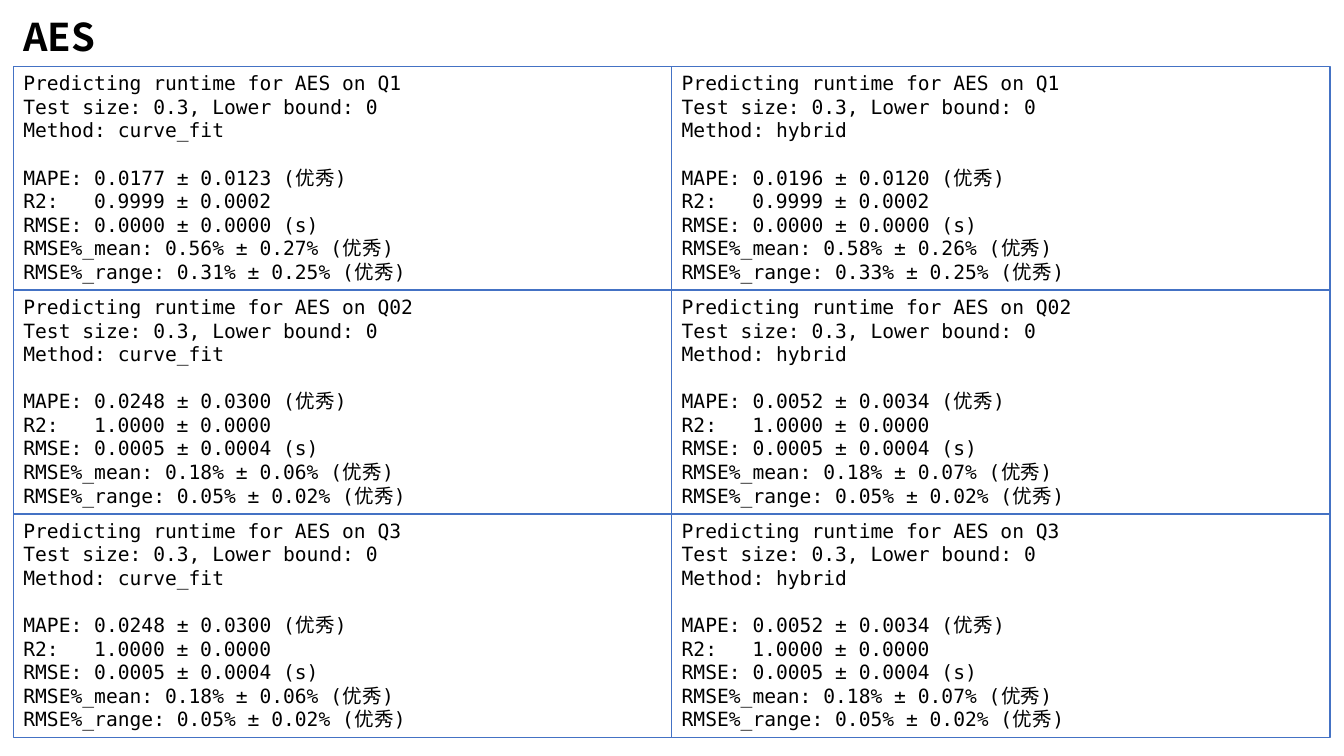
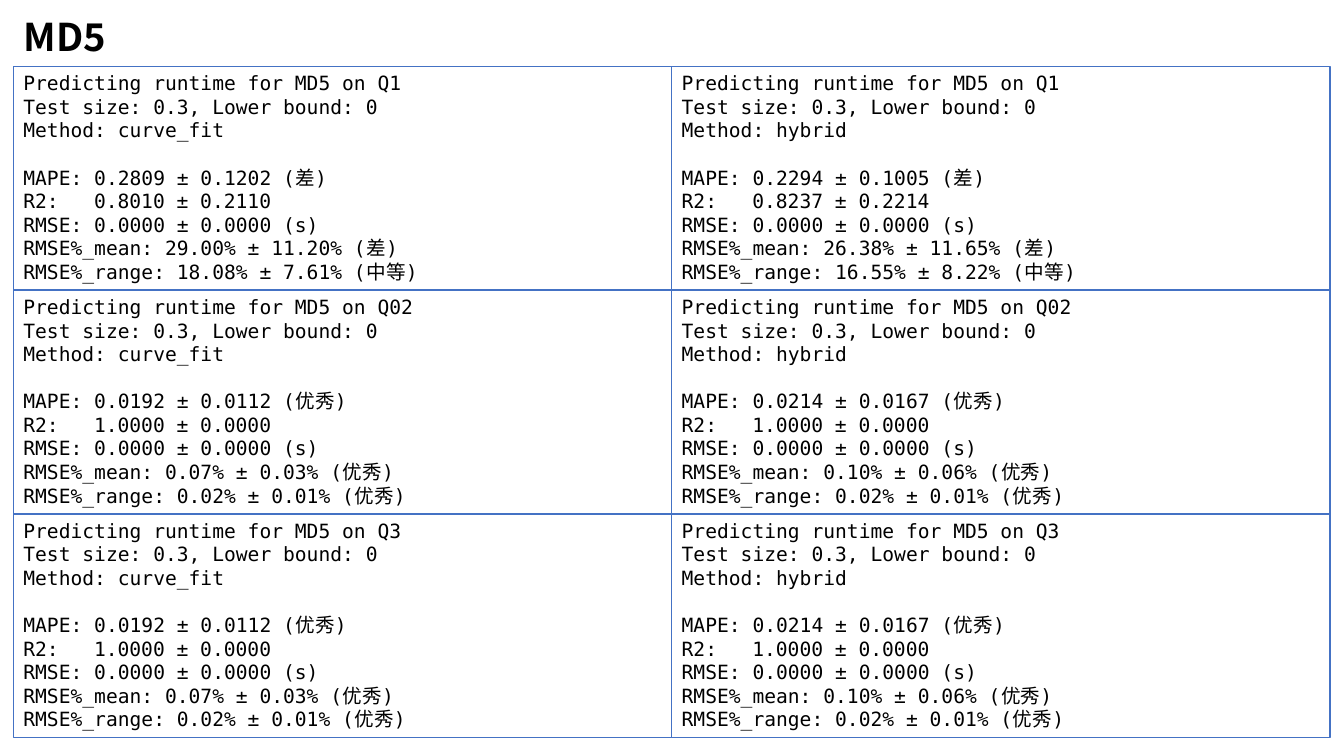
from dataclasses import dataclass

import pptx
import pptx.dml.color
import pptx.enum.shapes
import pptx.enum.text
import pptx.oxml.ns
import pptx.util
from lxml import etree

Cm = pptx.util.Cm
Pt = pptx.util.Pt
RGBColor = pptx.dml.color.RGBColor
PP_ALIGN = pptx.enum.text.PP_ALIGN
MSO_ANCHOR = pptx.enum.text.MSO_ANCHOR
MSO_AUTO_SIZE = pptx.enum.text.MSO_AUTO_SIZE
qn = pptx.oxml.ns.qn


@dataclass(frozen=True)
class Theme:
    text: RGBColor = RGBColor(0x00, 0x00, 0x00)
    border: RGBColor = RGBColor(0x44, 0x72, 0xC4)
    title_font: str = "Noto Sans CJK SC"
    report_font: str = "DejaVu Sans Mono"
    chinese_font: str = "Noto Sans CJK SC"
    title_size: float = 27.3
    report_size: float = 14
    block_gap: float = 16.9
    border_width: float = 1


THEME = Theme()

METHODS = ("curve_fit", "hybrid")
METRICS = ("MAPE: ", "R2:\t", "RMSE: ", "RMSE%_mean: ", "RMSE%_range: ")

# Each device has one tuple of metric values per method.
AES_SHARED = (
    ("0.0248 ± 0.0300 (优秀)", "1.0000 ± 0.0000", "0.0005 ± 0.0004 (s)",
     "0.18% ± 0.06% (优秀)", "0.05% ± 0.02% (优秀)"),
    ("0.0052 ± 0.0034 (优秀)", "1.0000 ± 0.0000", "0.0005 ± 0.0004 (s)",
     "0.18% ± 0.07% (优秀)", "0.05% ± 0.02% (优秀)"),
)
MD5_SHARED = (
    ("0.0192 ± 0.0112 (优秀)", "1.0000 ± 0.0000", "0.0000 ± 0.0000 (s)",
     "0.07% ± 0.03% (优秀)", "0.02% ± 0.01% (优秀)"),
    ("0.0214 ± 0.0167 (优秀)", "1.0000 ± 0.0000", "0.0000 ± 0.0000 (s)",
     "0.10% ± 0.06% (优秀)", "0.02% ± 0.01% (优秀)"),
)
RESULTS = {
    "AES": {
        "Q1": (
            ("0.0177 ± 0.0123 (优秀)", "0.9999 ± 0.0002", "0.0000 ± 0.0000 (s)",
             "0.56% ± 0.27% (优秀)", "0.31% ± 0.25% (优秀)"),
            ("0.0196 ± 0.0120 (优秀)", "0.9999 ± 0.0002", "0.0000 ± 0.0000 (s)",
             "0.58% ± 0.26% (优秀)", "0.33% ± 0.25% (优秀)"),
        ),
        "Q02": AES_SHARED,
        "Q3": AES_SHARED,
    },
    "MD5": {
        "Q1": (
            ("0.2809 ± 0.1202 (差)", "0.8010 ± 0.2110", "0.0000 ± 0.0000 (s)",
             "29.00% ± 11.20% (差)", "18.08% ± 7.61% (中等)"),
            ("0.2294 ± 0.1005 (差)", "0.8237 ± 0.2214", "0.0000 ± 0.0000 (s)",
             "26.38% ± 11.65% (差)", "16.55% ± 8.22% (中等)"),
        ),
        "Q02": MD5_SHARED,
        "Q3": MD5_SHARED,
    },
}

SLIDE_WIDTH, SLIDE_HEIGHT = Cm(33.87), Cm(19.05)
LEFT = Cm(0.34)
TITLE_TOP, TITLE_WIDTH, TITLE_HEIGHT = Cm(0.39), Cm(19.3), Cm(1.27)
GRID_TOP = Cm(1.67)
PANEL_WIDTH, PANEL_HEIGHT = Cm(16.59), Cm(5.64)
VALUE_TAB = Cm(1.78)


def write_text(paragraph, text, *, font, size, bold=False, line_spacing=None,
               space_before=0, tab_stop=None):
    paragraph.alignment = PP_ALIGN.LEFT
    paragraph.space_before = Pt(space_before)
    if line_spacing:
        paragraph.line_spacing = line_spacing
    if tab_stop:
        properties = paragraph._p.get_or_add_pPr()
        tab_list = etree.SubElement(properties, qn("a:tabLst"))
        etree.SubElement(tab_list, qn("a:tab"), pos=str(int(tab_stop)), algn="l")
    run = paragraph.add_run()
    run.text = text
    run.font.name = font
    run.font.size = Pt(size)
    run.font.bold = bold
    run.font.color.rgb = THEME.text
    etree.SubElement(run._r.get_or_add_rPr(), qn("a:ea"),
                     typeface=THEME.chinese_font)


def set_title(slide, text):
    title = slide.shapes.title
    title.left, title.top = LEFT, TITLE_TOP
    title.width, title.height = TITLE_WIDTH, TITLE_HEIGHT
    frame = title.text_frame
    frame.auto_size = MSO_AUTO_SIZE.NONE
    frame.vertical_anchor = MSO_ANCHOR.MIDDLE
    write_text(frame.paragraphs[0], text, font=THEME.title_font,
               size=THEME.title_size, bold=True, line_spacing=0.8)


def add_report(slide, row, column, settings, metrics):
    """Add one bordered panel: run settings, a gap, then metric lines."""
    panel = slide.shapes.add_shape(
        pptx.enum.shapes.MSO_SHAPE.RECTANGLE,
        LEFT + column * PANEL_WIDTH, GRID_TOP + row * PANEL_HEIGHT,
        PANEL_WIDTH, PANEL_HEIGHT)
    panel.shadow.inherit = False
    panel.fill.background()
    panel.line.color.rgb = THEME.border
    panel.line.width = Pt(THEME.border_width)
    frame = panel.text_frame
    frame.word_wrap = True
    frame.auto_size = MSO_AUTO_SIZE.SHAPE_TO_FIT_TEXT
    frame.vertical_anchor = MSO_ANCHOR.TOP
    for index, line in enumerate(settings + metrics):
        paragraph = frame.add_paragraph() if index else frame.paragraphs[0]
        write_text(paragraph, line, font=THEME.report_font,
                   size=THEME.report_size,
                   space_before=THEME.block_gap if index == len(settings) else 0,
                   tab_stop=VALUE_TAB if "\t" in line else None)


def main():
    presentation = pptx.Presentation()
    presentation.slide_width, presentation.slide_height = SLIDE_WIDTH, SLIDE_HEIGHT
    title_only = presentation.slide_layouts.get_by_name("Title Only")
    for algorithm, devices in RESULTS.items():
        slide = presentation.slides.add_slide(title_only)
        set_title(slide, algorithm)
        for row, (device, reports) in enumerate(devices.items()):
            for column, (method, values) in enumerate(zip(METHODS, reports)):
                settings = [f"Predicting runtime for {algorithm} on {device}",
                            "Test size: 0.3, Lower bound: 0",
                            f"Method: {method}"]
                metrics = [label + value for label, value in zip(METRICS, values)]
                add_report(slide, row, column, settings, metrics)
    presentation.save("out.pptx")


if __name__ == "__main__":
    main()
